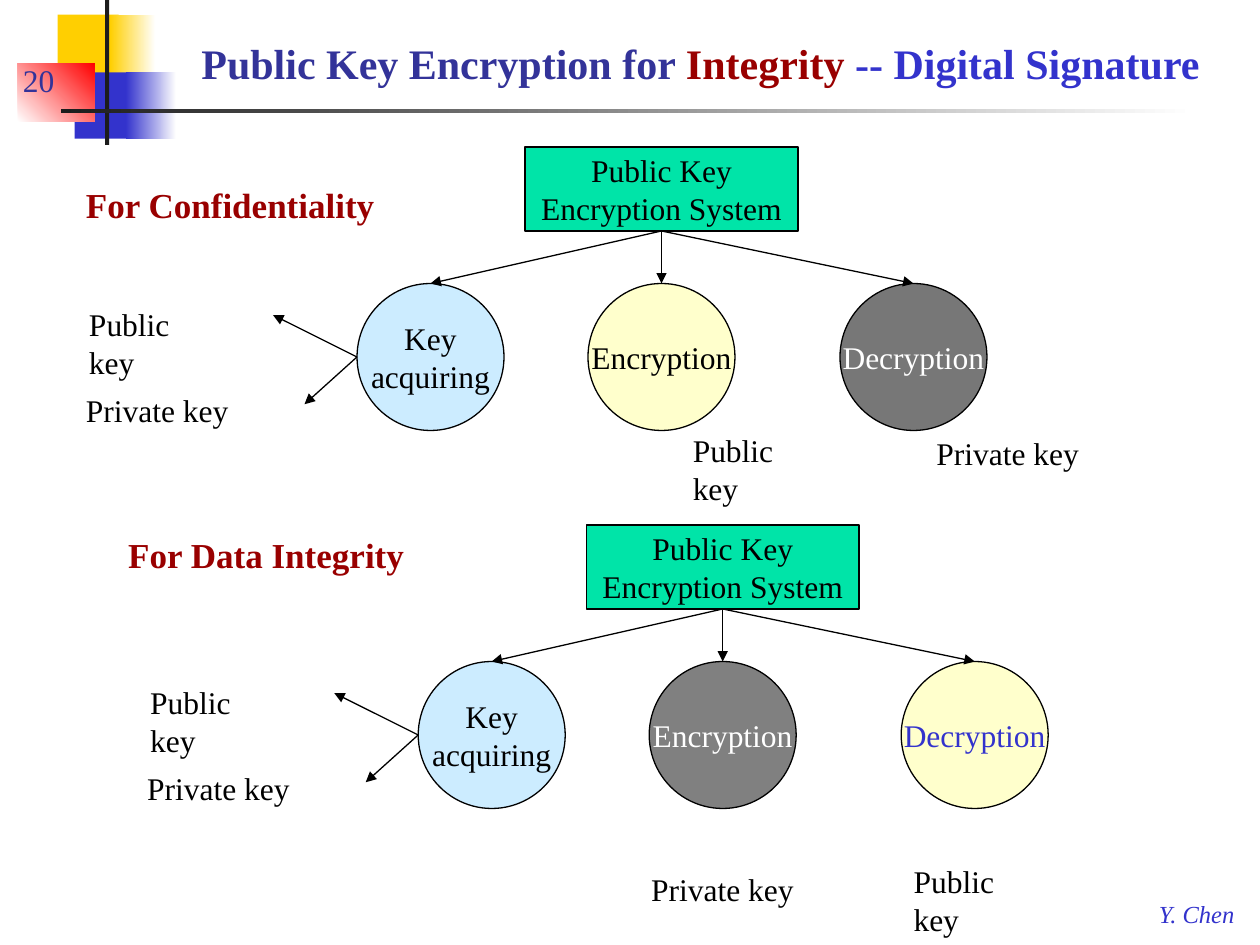
from lxml.etree import SubElement
from pptx import Presentation
from pptx.dml.color import RGBColor
from pptx.enum.shapes import MSO_CONNECTOR, MSO_SHAPE
from pptx.enum.text import MSO_ANCHOR, MSO_AUTO_SIZE, PP_ALIGN
from pptx.oxml.ns import qn
from pptx.util import Inches, Pt

COLORS = {
    "black": "000000", "white": "FFFFFF", "ink": "1C1C1C", "gold": "FFCF01",
    "blue": "3333CC", "navy": "333399", "red": "FF0000", "maroon": "990000",
    "green": "00E4A8", "sky": "CCECFF", "cream": "FFFFCC",
    "gray": "777777", "silver": "808080",
}
FONT = "Times New Roman"
COLUMNS, ROWS = 120, 90
CELL = Inches(10) / COLUMNS
NODE_SIZE = 14
NODE_TOP = 27
NODE_LEFTS = (34, 56, 80)
LABEL_WIDTHS = {"Public key": 15.1, "Private key": 16}


def grid(*cells):
    """Turn grid cells into slide lengths."""
    return [round(cell * CELL) for cell in cells]


def color(name):
    """Look up a named colour."""
    return RGBColor.from_string(COLORS[name])


def write(shape, lines, size=18, ink="black", bold=False, italic=False,
          align=PP_ALIGN.LEFT, anchor=MSO_ANCHOR.TOP, wrap=False, grow=False):
    """Fill a shape with lines, each a string or a list of (text, colour) spans."""
    frame = shape.text_frame
    frame.word_wrap = wrap
    frame.auto_size = MSO_AUTO_SIZE.SHAPE_TO_FIT_TEXT if grow else MSO_AUTO_SIZE.NONE
    frame.vertical_anchor = anchor
    for index, line in enumerate(lines):
        para = frame.add_paragraph() if index else frame.paragraphs[0]
        para.alignment = align
        for text, tint in [(line, ink)] if isinstance(line, str) else line:
            span = para.add_run()
            span.text = text
            span.font.name = FONT
            span.font.size = Pt(size)
            span.font.bold = bold
            span.font.italic = italic
            span.font.color.rgb = color(tint)


def add_label(shapes, place, lines, **style):
    """Add a text box."""
    box = shapes.add_textbox(*grid(*place))
    write(box, lines, **style)


def add_bar(shapes, place, start, end=None, angle=0):
    """Add an unlined rectangle, plain or with a two-colour gradient."""
    bar = shapes.add_shape(MSO_SHAPE.RECTANGLE, *grid(*place))
    bar.shadow.inherit = False
    bar.line.fill.background()
    if end is None:
        bar.fill.solid()
        bar.fill.fore_color.rgb = color(start)
        return
    bar.fill.gradient()
    bar.fill.gradient_angle = angle
    for stop, name, position in zip(bar.fill.gradient_stops, (start, end), (0, 1)):
        stop.color.rgb = color(name)
        stop.position = position


def add_node(shapes, kind, place, lines, fill, ink="black"):
    """Add an outlined shape with centred text."""
    node = shapes.add_shape(kind, *grid(*place))
    node.shadow.inherit = False
    node.fill.solid()
    node.fill.fore_color.rgb = color(fill)
    node.line.color.rgb = color("black")
    node.line.width = Pt(0.75)
    write(node, lines, ink=ink, align=PP_ALIGN.CENTER, anchor=MSO_ANCHOR.MIDDLE)


def add_arrow(shapes, start, end):
    """Add a line with an arrowhead at its end."""
    arrow = shapes.add_connector(MSO_CONNECTOR.STRAIGHT, *grid(*start, *end))
    arrow.line.color.rgb = color("black")
    arrow.line.width = Pt(0.75)
    SubElement(arrow.line._get_or_add_ln(), qn("a:tailEnd"), type="triangle")
    SubElement(arrow._element.spPr, qn("a:effectLst"))


def add_tree(page, column, row, heading, heading_place, nodes, key_labels):
    """Add one key-system tree, shifted by a column and a row."""
    shapes = page.shapes.add_group_shape().shapes

    def shift(left, top, *size):
        """Move a tree position to its place on the slide."""
        return (left + column, top + row, *size)

    add_node(shapes, MSO_SHAPE.RECTANGLE, shift(50, 14, 26, 8),
             ["Public Key", "Encryption System"], "green")
    for left, (lines, fill, ink) in zip(NODE_LEFTS, nodes):
        add_node(shapes, MSO_SHAPE.OVAL, shift(left, NODE_TOP, NODE_SIZE, NODE_SIZE),
                 lines, fill, ink)
        add_arrow(shapes, shift(63, 22), shift(left + NODE_SIZE / 2, NODE_TOP))
    for end in ((26, 30), (29, 38.5)):
        add_arrow(shapes, shift(NODE_LEFTS[0], NODE_TOP + NODE_SIZE / 2), shift(*end))
    acquired = [("Public key", 7.3, 28.5), ("Private key", 7, 36.7)]
    for text, left, top in acquired + key_labels:
        add_label(shapes, shift(left, top, LABEL_WIDTHS[text], 4.8), [text], grow=True)
    add_label(shapes, shift(*heading_place, 5.2), [heading],
              size=20, ink="maroon", bold=True, grow=True)


def add_frame(page):
    """Add the corner ornament, author, page number and title."""
    shapes = page.shapes
    add_bar(shapes, (5.5, 1.4, 5.8, 6.3), "gold")
    add_bar(shapes, (10.5, 1.4, 4.3, 6.3), "gold", "white")
    add_bar(shapes, (7.1, 6.9, 5.5, 6.3), "blue")
    add_bar(shapes, (12, 6.9, 4.8, 6.3), "blue", "white")
    add_bar(shapes, (1.7, 6, 7.3, 5.6), "white", "red", angle=45)
    add_bar(shapes, (10, 0, 0.4, 13.8), "ink")
    add_bar(shapes, (5.8, 10.4, 108, 0.35), "ink", "white")
    add_label(shapes, (109.2, 85, 9.8, 4), ["Y. Chen"],
              size=14, ink="blue", italic=True, grow=True)
    add_label(shapes, (1, 4, 9, 6), ["20"], ink="navy",
              anchor=MSO_ANCHOR.BOTTOM, wrap=True)
    title = [("Public Key Encryption for ", "navy"), ("Integrity ", "maroon"),
             ("-- Digital Signature", "blue")]
    add_label(shapes, (18, 1, 99, 8), [title], size=24, bold=True,
              anchor=MSO_ANCHOR.BOTTOM, wrap=True)


def main():
    """Build and save the slide."""
    deck = Presentation()
    deck.slide_width, deck.slide_height = grid(COLUMNS, ROWS)
    page = deck.slides.add_slide(deck.slide_layouts[6])
    add_frame(page)
    acquiring = (["Key", "acquiring"], "sky", "black")
    add_tree(page, 0, 0, "For Confidentiality", (7, 16.9, 29.9),
             [acquiring, (["Encryption"], "cream", "black"),
              (["Decryption"], "gray", "white")],
             [("Public key", 64.8, 40.5), ("Private key", 88, 40.7)])
    add_tree(page, 5.83, 36, "For Data Integrity", (5.2, 14.2, 28.7),
             [acquiring, (["Encryption"], "silver", "white"),
              (["Decryption"], "cream", "blue")],
             [("Public key", 80, 45.5), ("Private key", 55, 46.3)])
    deck.save("out.pptx")


if __name__ == "__main__":
    main()
